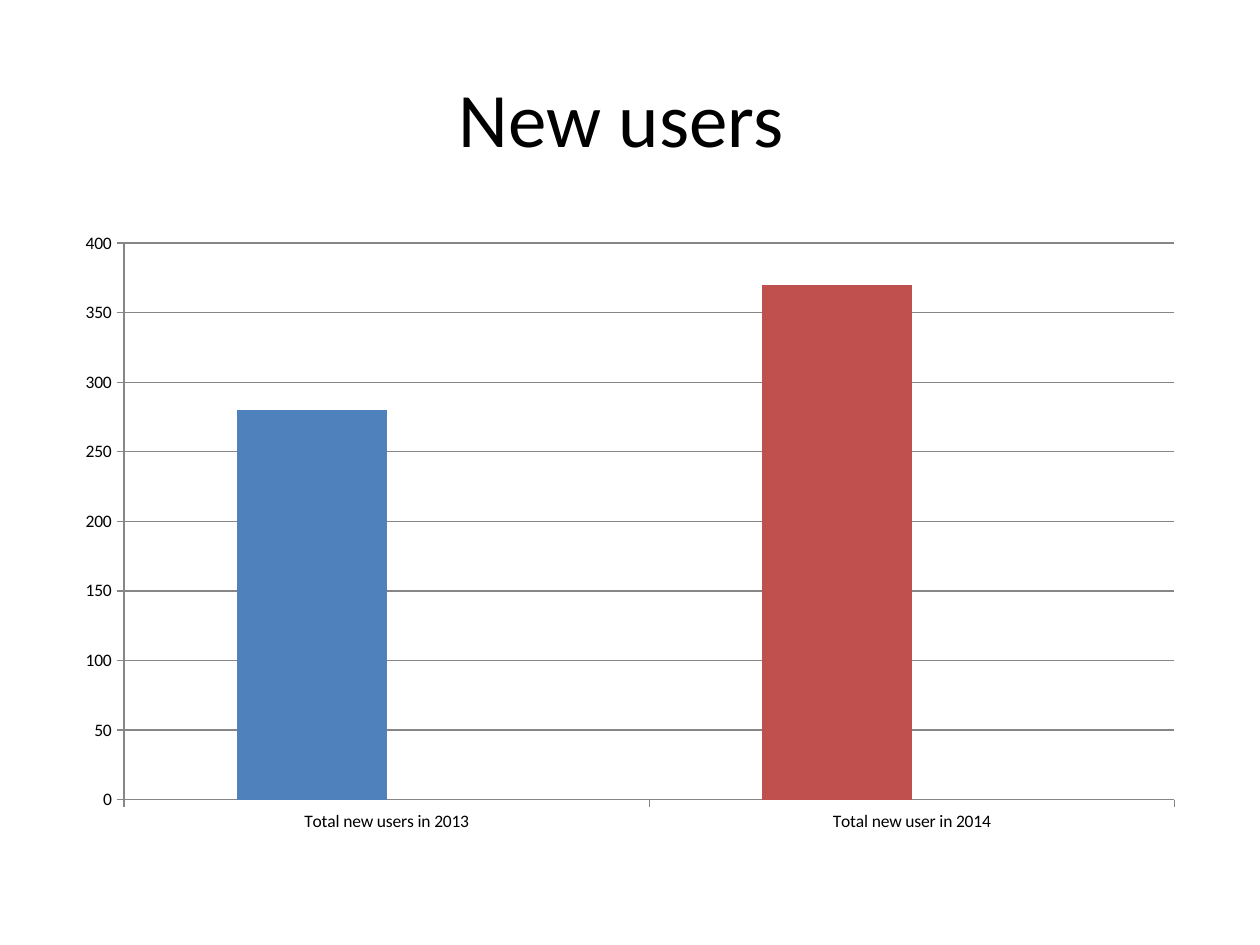
from pptx import Presentation
from pptx.chart.data import CategoryChartData as ChartData
from pptx.dml.color import RGBColor
from pptx.enum.chart import XL_CHART_TYPE as ChartType, XL_TICK_MARK as TickMark
from pptx.enum.text import MSO_ANCHOR as Anchor, PP_ALIGN as Align
from pptx.util import Cm, Pt

BLACK = RGBColor(0x00, 0x00, 0x00)
GREY = RGBColor(0x86, 0x86, 0x86)
BLUE = RGBColor(0x4F, 0x81, 0xBD)
RED = RGBColor(0xC0, 0x50, 0x4D)
FONT = "Calibri"

NEW_USERS = {"Total new users in 2013": 280, "Total new user in 2014": 370}


def apply(target, formats):
    for name, value in formats.items():
        setattr(target, name, value)


def style_font(font, size):
    apply(font, {"name": FONT, "size": Pt(size), "bold": False})
    font.color.rgb = BLACK


def style_line(line):
    line.color.rgb = GREY
    line.width = Pt(0.75)


def paint(fill, color):
    fill.solid()
    fill.fore_color.rgb = color


def add_title(page, box, text):
    frame = page.shapes.add_textbox(*box).text_frame
    apply(frame, {"word_wrap": True, "vertical_anchor": Anchor.MIDDLE})
    para = frame.paragraphs[0]
    para.alignment = Align.CENTER
    span = para.add_run()
    span.text = text
    style_font(span.font, 44)


def add_user_chart(page, box):
    # The empty second series reserves the right half of each cluster
    data = ChartData()
    data.categories = list(NEW_USERS)
    data.add_series("Series 1", list(NEW_USERS.values()))
    data.add_series("Series 2", [None] * len(NEW_USERS))
    chart = page.shapes.add_chart(ChartType.COLUMN_CLUSTERED, *box, data).chart
    apply(chart, {"has_legend": False, "has_title": False})
    style_font(chart.font, 10)

    # Columns
    plot = chart.plots[0]
    apply(plot, {"gap_width": 150, "overlap": 0, "vary_by_categories": False})
    for series, color in zip(plot.series, (BLUE, RED)):
        series.invert_if_negative = False
        paint(series.format.fill, color)
    paint(plot.series[0].points[1].format.fill, RED)

    # Axes and gridlines
    for axis in (chart.category_axis, chart.value_axis):
        apply(axis, {"major_tick_mark": TickMark.OUTSIDE,
                     "minor_tick_mark": TickMark.NONE})
        style_line(axis.format.line)
    apply(chart.value_axis, {"minimum_scale": 0, "maximum_scale": 400,
                             "major_unit": 50, "has_major_gridlines": True})
    style_line(chart.value_axis.major_gridlines.format.line)


def main():
    deck = Presentation()
    apply(deck, {"slide_width": Cm(25.4), "slide_height": Cm(19.05)})
    page = deck.slides.add_slide(deck.slide_layouts[6])
    left, width = Cm(1.27), Cm(22.86)
    # The trailing space is part of the centred heading
    add_title(page, (left, Cm(0.76), width, Cm(3.18)), "New users ")
    add_user_chart(page, (left, Cm(4.45), width, Cm(12.57)))
    deck.save("out.pptx")


if __name__ == "__main__":
    main()
